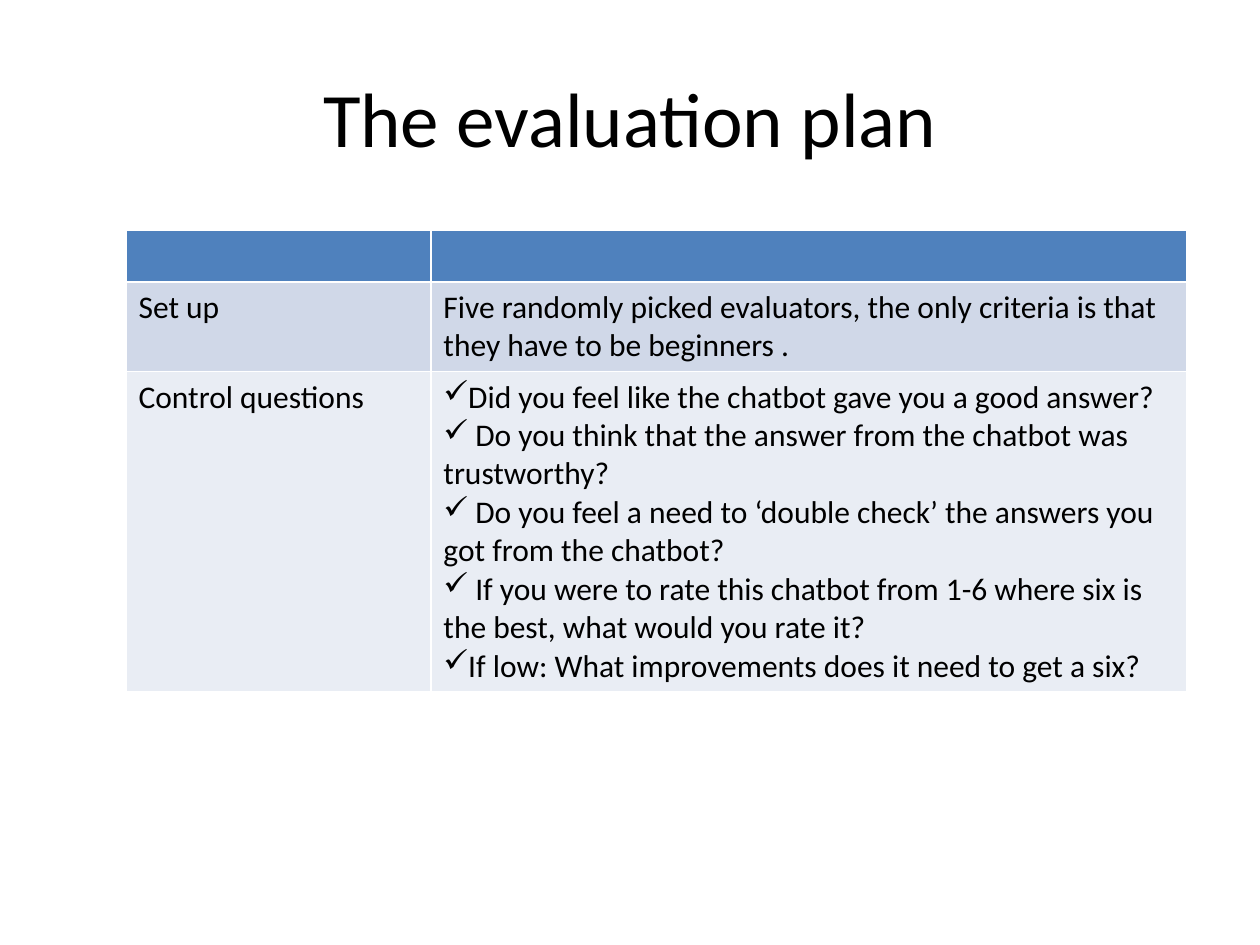
from lxml.etree import SubElement
from pptx import Presentation
from pptx.dml.color import RGBColor
from pptx.enum.text import MSO_ANCHOR, PP_ALIGN
from pptx.oxml.ns import qn
from pptx.util import Inches, Pt


def rgb(value):
    return RGBColor.from_string(value)


def write(tf, text, size=18, color="000000", align=PP_ALIGN.LEFT, bullet=None):
    """Fill a text frame with one paragraph per line of text."""
    tf.text = text
    for p in tf.paragraphs:
        p.alignment = align
        for r in p.runs:
            r.font.name = "Calibri"
            r.font.size = Pt(size)
            r.font.color.rgb = rgb(color)
        if bullet:
            pPr = p._p.get_or_add_pPr()
            pPr.set("marL", "0")
            pPr.set("indent", "0")
            SubElement(pPr, qn("a:buChar")).set("char", bullet)


QUESTIONS = [
    "Did you feel like the chatbot gave you a good answer?",
    " Do you think that the answer from the chatbot was trustworthy?",
    " Do you feel a need to ‘double check’ the answers you got from the chatbot?",
    " If you were to rate this chatbot from 1-6 where six is the best, what would you rate it?",
    "If low: What improvements does it need to get a six?",
]
SETUP = ("Five randomly picked evaluators, the only criteria is that "
         "they have to be beginners .")

# Fill, row height, label, content, bullet
ROWS = [
    ("4F81BD", 0.41, "", "", None),
    ("D0D8E8", 0.7, "Set up", SETUP, None),
    ("E9EDF4", 2.5, "Control questions", "\n".join(QUESTIONS), "✓"),
]

prs = Presentation()
prs.slide_width, prs.slide_height = Inches(10), Inches(7.5)
s = prs.slides.add_slide(prs.slide_layouts[5])

title = s.shapes.title
title.left, title.top = Inches(0.5), Inches(0.3)
title.width, title.height = Inches(9), Inches(1.25)
title.text_frame.vertical_anchor = MSO_ANCHOR.MIDDLE
write(title.text_frame, "The evaluation plan", size=44, align=PP_ALIGN.CENTER)

# The default table style draws the white cell borders
table = s.shapes.add_table(len(ROWS), 2, Inches(1), Inches(1.83),
                           Inches(8.42), Inches(3.61)).table
for column, width in zip(table.columns, (2.42, 6)):
    column.width = Inches(width)

for row, (fill, height, label, content, bullet) in zip(table.rows, ROWS):
    row.height = Inches(height)
    for cell, text, mark in zip(row.cells, (label, content), (None, bullet)):
        cell.fill.solid()
        cell.fill.fore_color.rgb = rgb(fill)
        write(cell.text_frame, text, bullet=mark)

prs.save("out.pptx")
